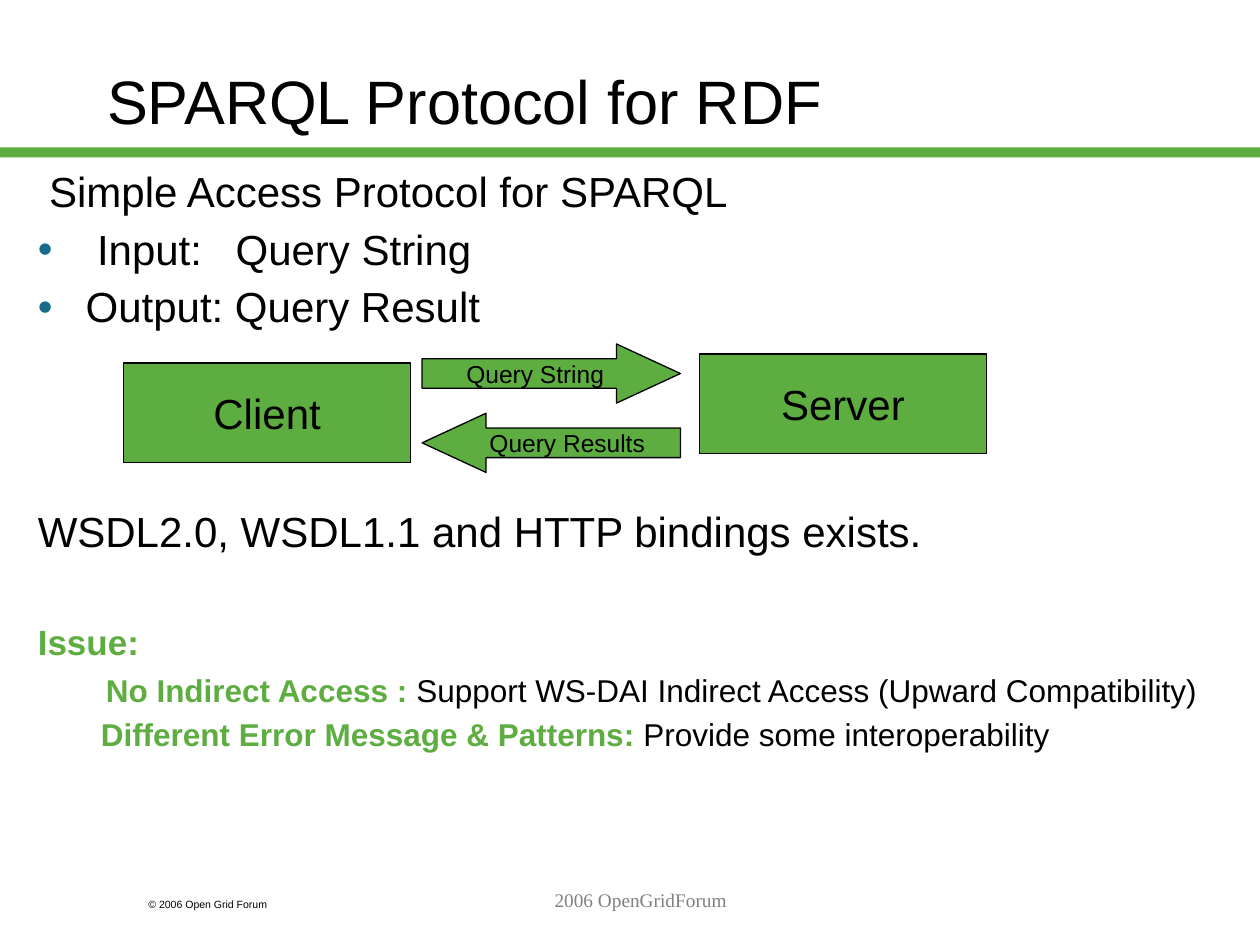
from dataclasses import dataclass
from typing import Optional

from lxml import etree
from pptx import Presentation
from pptx import util as u
from pptx.dml.color import RGBColor
from pptx.enum import shapes, text
from pptx.oxml import ns


@dataclass(frozen=True)
class Theme:
    green: str = "5DAD41"
    black: str = "000000"
    gray: str = "808080"
    bullet: str = "176D89"
    sans: str = "Arial"
    serif: str = "Times New Roman"
    title: float = 35
    body: float = 24
    issue: float = 20
    detail: float = 18
    arrow: float = 14
    footer: float = 11
    copyright: float = 6


@dataclass(frozen=True)
class Area:
    left: float
    top: float
    width: float
    height: float

    def lengths(self) -> tuple:
        return tuple(u.Inches(v) for v in (self.left, self.top, self.width, self.height))


@dataclass(frozen=True)
class Span:
    words: str
    size: float
    color: str = Theme.black
    bold: bool = False
    font: str = Theme.sans


@dataclass(frozen=True)
class Line:
    spans: tuple
    before: float = 0
    margin: float = 0
    hanging: float = 0
    bullet: bool = False
    tab: Optional[float] = None
    level: int = 0


@dataclass(frozen=True)
class Block:
    label: str
    kind: shapes.MSO_SHAPE
    area: Area
    size: float
    head: Optional[float] = None


THEME = Theme()
WIDTH, HEIGHT = 10, 7.5

# Diagram grid: client, arrows and server columns
BOX_W, BOX_H = 2.28, 0.79
ARROW_W, ARROW_H = 2.05, 0.47
CLIENT_X, ARROW_X, SERVER_X = 0.98, 3.35, 5.55
ARROW_TOP, ARROW_STEP = 2.73, 0.55
BLOCKS = (
    Block("Client", shapes.MSO_SHAPE.RECTANGLE,
          Area(CLIENT_X, 2.88, BOX_W, BOX_H), THEME.body),
    Block("Server", shapes.MSO_SHAPE.RECTANGLE,
          Area(SERVER_X, 2.81, BOX_W, BOX_H), THEME.body),
    Block("Query String", shapes.MSO_SHAPE.RIGHT_ARROW,
          Area(ARROW_X, ARROW_TOP, ARROW_W, ARROW_H), THEME.arrow, 1.08),
    Block("Query Results", shapes.MSO_SHAPE.LEFT_ARROW,
          Area(ARROW_X, ARROW_TOP + ARROW_STEP, ARROW_W, ARROW_H), THEME.arrow, 1.08),
)


def body_span(words: str) -> Span:
    return Span(words, THEME.body)


def issue_spans(name: str, answer: str) -> tuple:
    return (Span(name, THEME.detail, THEME.green, True), Span(answer, THEME.detail))


BODY = (
    Line((body_span("Simple Access Protocol for SPARQL"),), margin=0.09),
    Line((body_span("Input:\tQuery String"),), 7, 0.47, -0.47, True, tab=1.57),
    Line((body_span("Output: Query Result"),), 7, 0.38, -0.38, True),
    Line((body_span("WSDL2.0, WSDL1.1 and HTTP bindings exists."),), 102.5),
    Line((Span("Issue:", THEME.issue, THEME.green, True),), 39),
    Line(issue_spans("No Indirect Access : ",
                     "Support WS-DAI Indirect Access (Upward Compatibility)"), 7, 0.54),
    Line(issue_spans("Different Error Message & Patterns: ",
                     "Provide some interoperability"), 6, 0.81, -0.31, level=1),
)


def add_spans(para, spans: tuple) -> None:
    for span in spans:
        run = para.add_run()
        run.text = span.words
        run.font.name = span.font
        run.font.size = u.Pt(span.size)
        run.font.bold = span.bold
        run.font.color.rgb = RGBColor.from_string(span.color)


def add_mark(parent, tag: str, **values: str):
    return etree.SubElement(parent, ns.qn(tag), values)


def format_line(para, line: Line) -> None:
    """Set indents, bullet and tab stop, then spacing and text."""
    para.level = line.level
    props = para._p.get_or_add_pPr()
    props.set("marL", str(u.Inches(line.margin)))
    props.set("indent", str(u.Inches(line.hanging)))
    if line.bullet:
        add_mark(add_mark(props, "a:buClr"), "a:srgbClr", val=THEME.bullet)
        add_mark(props, "a:buFont", typeface=THEME.sans)
        add_mark(props, "a:buChar", char="•")
    else:
        add_mark(props, "a:buNone")
    if line.tab is not None:
        stops = add_mark(props, "a:tabLst")
        add_mark(stops, "a:tab", pos=str(u.Inches(line.tab)), algn="l")
    para.line_spacing = 0.9
    para.space_before = u.Pt(line.before)
    add_spans(para, line.spans)


def place(box, area: Area, anchor: text.MSO_ANCHOR):
    box.left, box.top, box.width, box.height = area.lengths()
    frame = box.text_frame
    frame.word_wrap = True
    frame.auto_size = text.MSO_AUTO_SIZE.NONE
    frame.vertical_anchor = anchor
    return frame


def add_block(page, block: Block) -> None:
    shape = page.shapes.add_shape(block.kind, *block.area.lengths())
    shape.shadow.inherit = False
    shape.fill.solid()
    shape.fill.fore_color.rgb = RGBColor.from_string(THEME.green)
    shape.line.color.rgb = RGBColor.from_string(THEME.black)
    shape.line.width = u.Pt(0.75)
    if block.head is not None:
        shape.adjustments[0], shape.adjustments[1] = 0.5, block.head
    frame = shape.text_frame
    frame.word_wrap = False
    frame.vertical_anchor = text.MSO_ANCHOR.MIDDLE
    para = frame.paragraphs[0]
    para.alignment = text.PP_ALIGN.CENTER
    add_spans(para, (Span(block.label, block.size),))


def add_note(page, area: Area, span: Span, align: text.PP_ALIGN) -> None:
    box = page.shapes.add_textbox(*area.lengths())
    para = place(box, area, text.MSO_ANCHOR.TOP).paragraphs[0]
    para.alignment = align
    add_spans(para, (span,))


def main() -> None:
    deck = Presentation()
    deck.slide_width, deck.slide_height = u.Inches(WIDTH), u.Inches(HEIGHT)
    page = deck.slides.add_slide(deck.slide_layouts[1])

    # Title and the rule under it
    title = place(page.shapes.title, Area(0.75, 0.17, 8.5, 1.25), text.MSO_ANCHOR.MIDDLE)
    title.paragraphs[0].alignment = text.PP_ALIGN.LEFT
    add_spans(title.paragraphs[0], (Span("SPARQL Protocol for RDF", THEME.title),))
    rule = page.shapes.add_shape(shapes.MSO_SHAPE.RECTANGLE,
                                 *Area(0, 1.17, WIDTH, 0.08).lengths())
    rule.shadow.inherit = False
    rule.fill.solid()
    rule.fill.fore_color.rgb = RGBColor.from_string(THEME.green)
    rule.line.fill.background()

    # Body text
    body = place(page.placeholders[1], Area(0.2, 1.31, 9.8, 4.86), text.MSO_ANCHOR.TOP)
    for index, line in enumerate(BODY):
        format_line(body.add_paragraph() if index else body.paragraphs[0], line)

    # Client and server diagram
    for block in BLOCKS:
        add_block(page, block)

    # Footer
    add_note(page, Area(1.08, 7.08, 1.5, 0.2),
             Span("© 2006 Open Grid Forum", THEME.copyright), text.PP_ALIGN.LEFT)
    add_note(page, Area(2.17, 7, 5.83, 0.5),
             Span("2006 OpenGridForum", THEME.footer, THEME.gray, font=THEME.serif),
             text.PP_ALIGN.CENTER)
    deck.save("out.pptx")


if __name__ == "__main__":
    main()
